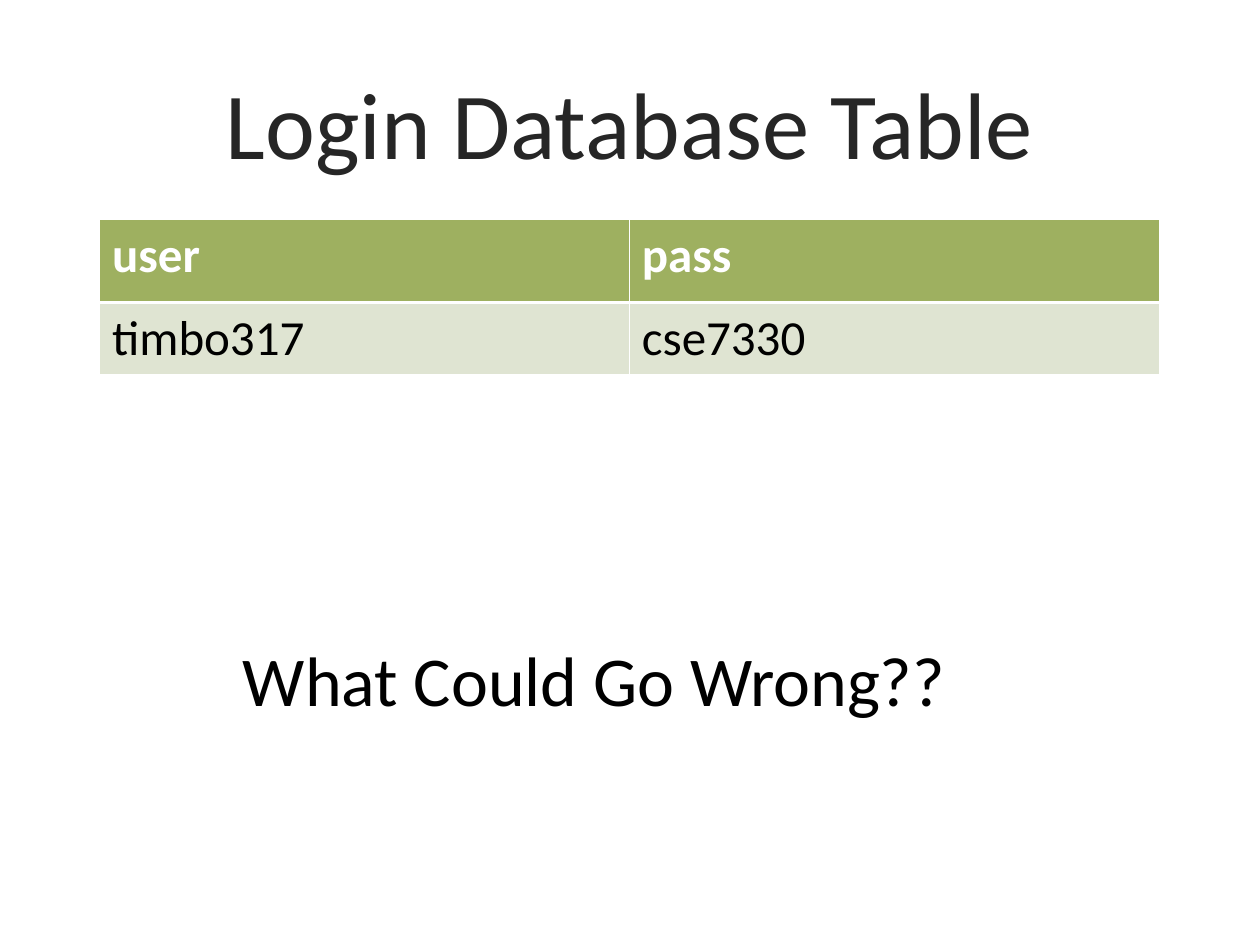
from pptx import Presentation
from pptx import util as u
from pptx.dml.color import RGBColor
from pptx.enum import text
from pptx.oxml import parse_xml
from pptx.oxml.ns import nsdecls

WHITE = RGBColor(0xFF, 0xFF, 0xFF)
BLACK = RGBColor(0, 0, 0)
CHARCOAL = RGBColor(0x26, 0x26, 0x26)
GREEN = RGBColor(0x9E, 0xB0, 0x60)
PALE_GREEN = RGBColor(0xDF, 0xE4, 0xD2)
THIN, THICK = u.Pt(0.45), u.Pt(1.47)


def write(text_frame, words, size, color, bold=False):
    text_frame.text = words
    font = text_frame.paragraphs[0].runs[0].font
    font.name = "Calibri"
    font.size = u.Pt(size)
    font.bold = bold
    font.color.rgb = color


def add_border(cell, side, width):
    cell._tc.get_or_add_tcPr().append(parse_xml(
        f'<a:{side} {nsdecls("a")} w="{width}"><a:solidFill>'
        f'<a:srgbClr val="{WHITE}"/></a:solidFill></a:{side}>'))


presentation = Presentation()
presentation.slide_width = u.Inches(10)
presentation.slide_height = u.Inches(7.5)
slide = presentation.slides.add_slide(presentation.slide_layouts[6])

title = slide.shapes.add_textbox(u.Inches(0.79), u.Inches(0.34), u.Inches(8.41), u.Inches(1.25))
title.text_frame.word_wrap = True
title.text_frame.vertical_anchor = text.MSO_ANCHOR.MIDDLE
write(title.text_frame, "Login Database Table", 54, CHARCOAL)
title.text_frame.paragraphs[0].alignment = text.PP_ALIGN.CENTER

rows = [
    (["user", "pass"], 0.66, GREEN, WHITE, True, THIN, THICK),
    (["timbo317", "cse7330"], 0.57, PALE_GREEN, BLACK, False, THICK, THIN),
]
table = slide.shapes.add_table(
    2, 2, u.Inches(0.79), u.Inches(1.74), u.Inches(8.41), u.Inches(1.23)).table
for row, (values, height, fill, color, bold, top, bottom) in zip(table.rows, rows):
    row.height = u.Inches(height)
    for cell, value in zip(row.cells, values):
        write(cell.text_frame, value, 28, color, bold)
        for side, width in (("lnL", THIN), ("lnR", THIN), ("lnT", top), ("lnB", bottom)):
            add_border(cell, side, width)
        cell.fill.solid()
        cell.fill.fore_color.rgb = fill

question = slide.shapes.add_textbox(u.Inches(1.83), u.Inches(5), u.Inches(6.42), u.Inches(1.44))
question.text_frame.word_wrap = True
write(question.text_frame, "What Could Go Wrong??", 40, BLACK)

presentation.save("out.pptx")
